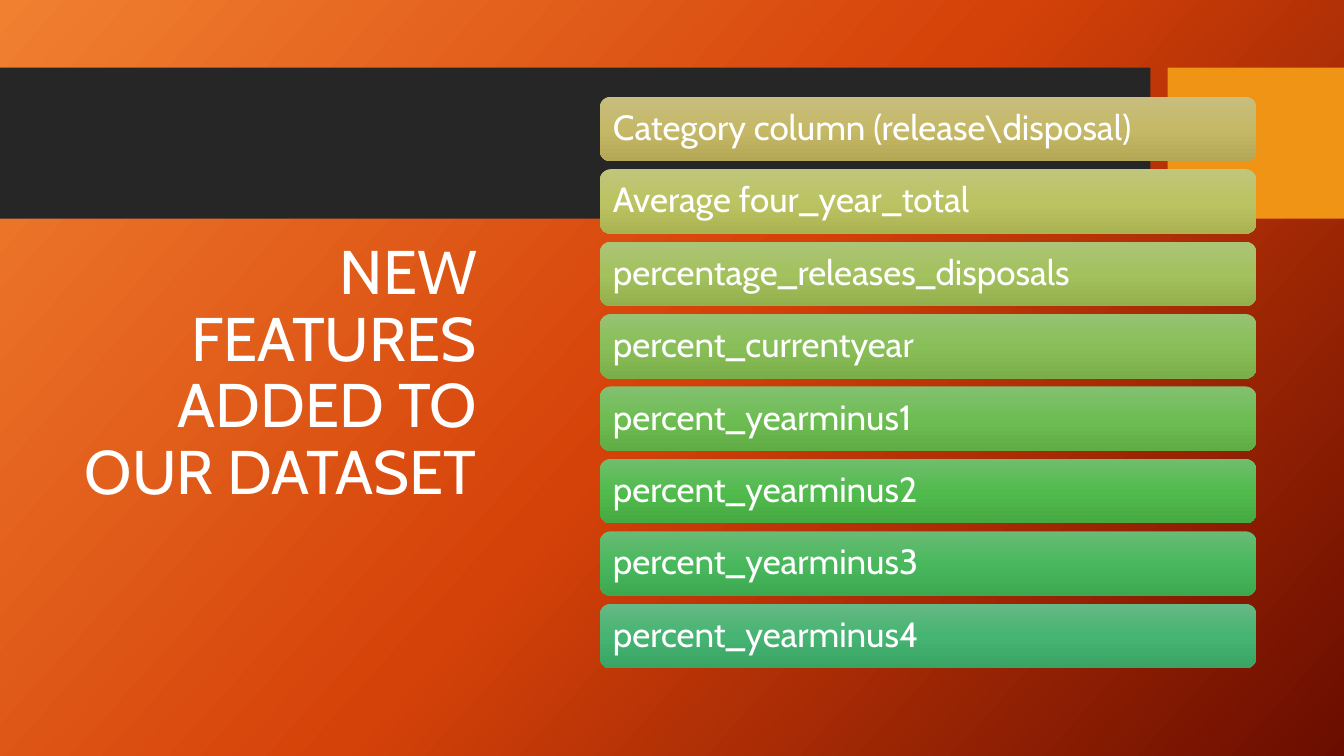
"""Build the slide that lists the new features added to the dataset."""
from copy import deepcopy
from dataclasses import dataclass

from pptx import Presentation
from pptx import util as u
from pptx.dml import color, fill as dml_fill
from pptx.enum import shapes, text
from pptx.oxml import ns
from pptx.oxml import xmlchemy
from pptx.shapes import autoshape
from pptx.slide import Slide
from pptx.text import text as txt

COLOURS = {
    "band": "262626",
    "accent": "F09415",
    "text": "FFFFFF",
    "bg_start": "F18031",
    "bg_middle": "D54209",
    "bg_end": "6A0D00",
}
FONT = "Cabin"
FIRST_TOP, LAST_TOP = 0.96, 5.99


@dataclass(frozen=True)
class Block:
    left: float
    width: float
    colour: str


@dataclass(frozen=True)
class Feature:
    label: str
    gradient: tuple[str, str, str]


BLOCKS = [Block(0, 11.41, "band"), Block(11.58, 1.75, "accent")]
FEATURES = [
    Feature(r"Category column (release\disposal)", ("C8BE7F", "C5B867", "B4A756")),
    Feature("Average four_year_total", ("C0C67B", "BBC362", "ABB252")),
    Feature("percentage_releases_disposals", ("ACC477", "A3C15D", "93B04E")),
    Feature("percent_currentyear", ("97C273", "89BF58", "7AAE4A")),
    Feature("percent_yearminus1", ("83C070", "6EBD53", "60AC45")),
    Feature("percent_yearminus2", ("6FBE6C", "52BB4E", "45AA41")),
    Feature("percent_yearminus3", ("69BC76", "49B85D", "3CA850")),
    Feature("percent_yearminus4", ("67B884", "46B472", "3AA464")),
]


def set_gradient(fill: dml_fill.FillFormat, owner: xmlchemy.BaseOxmlElement,
                 hexes: tuple[str, str, str], degrees: int) -> None:
    fill.gradient()
    gradient = owner.find(".//" + ns.qn("a:gradFill"))
    stops = gradient.find(ns.qn("a:gsLst"))
    stops.append(deepcopy(stops[0]))
    for index, (stop, value) in enumerate(zip(fill.gradient_stops, hexes)):
        stop.position = index / 2
        stop.color.rgb = color.RGBColor.from_string(value)
    gradient.find(ns.qn("a:lin")).set("ang", str(degrees * 60000))


def set_text(frame: txt.TextFrame, words: str, size: int,
             alignment: text.PP_ALIGN) -> None:
    frame.text = words
    frame.word_wrap = True
    frame.vertical_anchor = text.MSO_ANCHOR.MIDDLE
    paragraph = frame.paragraphs[0]
    paragraph.alignment = alignment
    paragraph.line_spacing = 0.9
    font = paragraph.runs[0].font
    font.name = FONT
    font.size = u.Pt(size)
    font.color.rgb = color.RGBColor.from_string(COLOURS["text"])


def add_panel(slide: Slide, kind: shapes.MSO_SHAPE, left: float, top: float,
              width: float, height: float) -> autoshape.Shape:
    panel = slide.shapes.add_shape(
        kind, u.Inches(left), u.Inches(top), u.Inches(width), u.Inches(height))
    panel.shadow.inherit = False
    panel.line.fill.background()
    return panel


def add_block(slide: Slide, block: Block) -> None:
    panel = add_panel(slide, shapes.MSO_SHAPE.RECTANGLE,
                      block.left, 0.67, block.width, 1.5)
    panel.fill.solid()
    panel.fill.fore_color.rgb = color.RGBColor.from_string(COLOURS[block.colour])


def add_feature(slide: Slide, feature: Feature, top: float) -> None:
    bar = add_panel(slide, shapes.MSO_SHAPE.ROUNDED_RECTANGLE, 5.95, top, 6.51, 0.64)
    set_gradient(bar.fill, bar.element, feature.gradient, 90)
    set_text(bar.text_frame, feature.label, 25, text.PP_ALIGN.LEFT)


def main() -> None:
    deck = Presentation()
    deck.slide_width, deck.slide_height = u.Inches(13.33), u.Inches(7.5)
    slide = deck.slides.add_slide(deck.slide_layouts[6])
    set_gradient(slide.background.fill, slide.element,
                 (COLOURS["bg_start"], COLOURS["bg_middle"], COLOURS["bg_end"]), 42)

    for block in BLOCKS:
        add_block(slide, block)

    title = slide.shapes.add_textbox(
        u.Inches(0.74), u.Inches(2.26), u.Inches(4.09), u.Inches(2.91))
    set_text(title.text_frame, "NEW FEATURES ADDED TO OUR DATASET", 44,
             text.PP_ALIGN.RIGHT)

    pitch = (LAST_TOP - FIRST_TOP) / (len(FEATURES) - 1)
    for row, feature in enumerate(FEATURES):
        add_feature(slide, feature, FIRST_TOP + row * pitch)

    deck.save("out.pptx")


if __name__ == "__main__":
    main()
